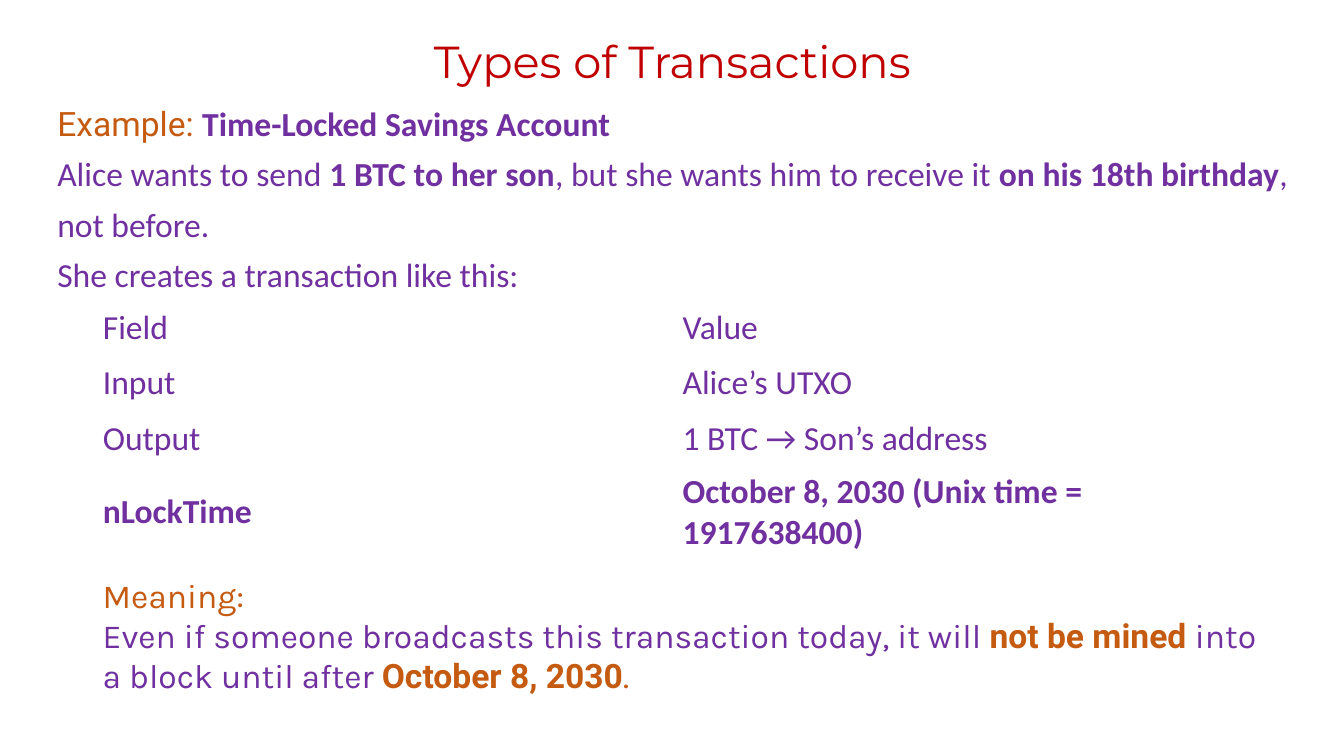
from pptx import Presentation
from pptx.dml.color import RGBColor
from pptx.enum import text
from pptx.util import Inches, Pt

RED = RGBColor(0xC0, 0x00, 0x00)
ORANGE = RGBColor(0xC5, 0x5A, 0x11)
PURPLE = RGBColor(0x70, 0x30, 0xA0)

FIELDS = [
    ("Field", "Value"),
    ("Input", "Alice’s UTXO"),
    ("Output", "1 BTC → Son’s address"),
    ("nLockTime", "October 8, 2030 (Unix time = 1917638400)"),
]


def set_font(font, name, color, bold=False, size=24):
    """Apply typeface, colour, weight and point size to a font."""
    font.name = name
    font.size = Pt(size)
    font.bold = bold
    font.color.rgb = color


def add_box(page, left, top, width, height, anchor=text.MSO_ANCHOR.TOP):
    """Add a wrapping text box and return its text frame."""
    frame = page.shapes.add_textbox(
        Inches(left), Inches(top), Inches(width), Inches(height)).text_frame
    frame.word_wrap = True
    frame.vertical_anchor = anchor
    return frame


def add_span(para, wording, name, color, bold=False):
    """Append a formatted run to a paragraph."""
    span = para.add_run()
    span.text = wording
    set_font(span.font, name, color, bold)


def add_title(page):
    """Add the centred slide title."""
    para = add_box(page, 1.67, 0.24, 10, 0.68, text.MSO_ANCHOR.BOTTOM).paragraphs[0]
    para.text = "Types of Transactions"
    para.alignment = text.PP_ALIGN.CENTER
    para.line_spacing = 0.9
    set_font(para.font, "Montserrat", RED, size=32)


def add_example(page):
    """Add the paragraphs that introduce the savings account."""
    frame = add_box(page, 0.47, 0.87, 12.4, 2.1)
    heading, story, lead = frame.paragraphs[0], frame.add_paragraph(), frame.add_paragraph()
    for para in (heading, story, lead):
        para.alignment = text.PP_ALIGN.JUSTIFY
        para.line_spacing = 1.25
    add_span(heading, "Example: ", "Roboto", ORANGE)
    add_span(heading, "Time-Locked Savings Account", "Calibri", PURPLE, True)
    for wording, bold in (
        ("Alice wants to send ", False),
        ("1 BTC to her son", True),
        (", but she wants him to receive it ", False),
        ("on his 18th birthday", True),
        (", not before.", False),
    ):
        add_span(story, wording, "Calibri", PURPLE, bold)
    lead.text = "She creates a transaction like this:"
    set_font(lead.font, "Calibri", PURPLE)


def add_fields(page):
    """Add the unfilled table of transaction fields."""
    table = page.shapes.add_table(
        len(FIELDS), 2, Inches(0.92), Inches(2.98), Inches(11.5), Inches(2.2)).table
    table.first_row = table.horz_banding = False
    for row, values in enumerate(FIELDS):
        table.rows[row].height = Inches(0.55)
        for column, value in enumerate(values):
            cell = table.cell(row, column)
            cell.fill.background()
            cell.vertical_anchor = text.MSO_ANCHOR.MIDDLE
            cell.text = value
            set_font(cell.text_frame.paragraphs[0].font, "Calibri", PURPLE,
                     row == len(FIELDS) - 1)


def add_meaning(page):
    """Add the closing explanation of the lock time."""
    para = add_box(page, 0.92, 5.65, 11.76, 1.31).paragraphs[0]
    add_span(para, "Meaning:", "Karla", ORANGE)
    para.add_line_break()
    add_span(para, "Even if someone broadcasts this transaction today, it will ",
             "Karla", PURPLE)
    add_span(para, "not be mined ", "Roboto", ORANGE, True)
    add_span(para, "into a block until after ", "Karla", PURPLE)
    add_span(para, "October 8, 2030", "Roboto", ORANGE, True)
    add_span(para, ".", "Karla", ORANGE)


def main():
    """Build and save the slide."""
    deck = Presentation()
    deck.slide_width, deck.slide_height = Inches(13.33), Inches(7.5)
    page = deck.slides.add_slide(deck.slide_layouts[6])
    add_title(page)
    add_example(page)
    add_fields(page)
    add_meaning(page)
    deck.save("out.pptx")


if __name__ == "__main__":
    main()
